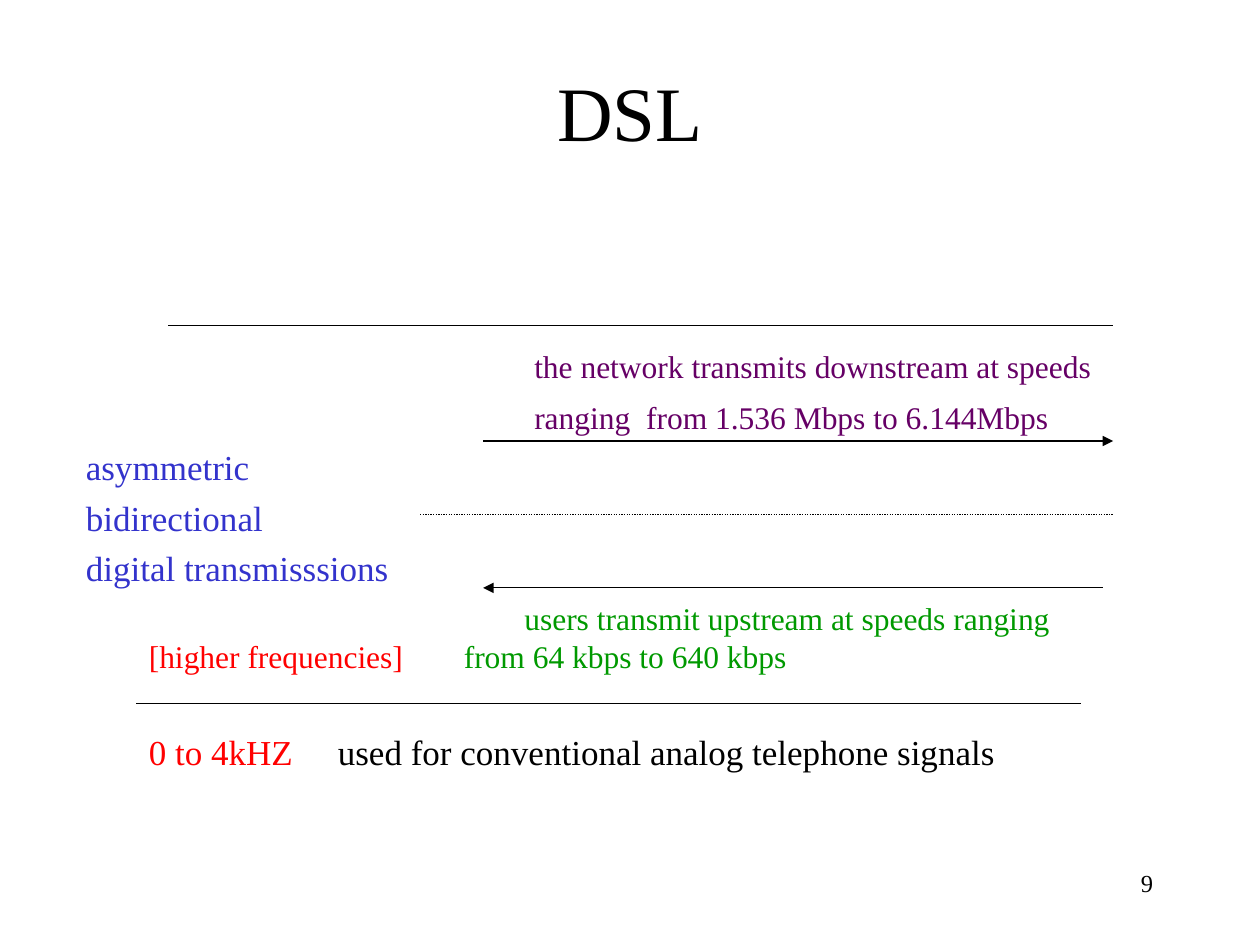
import pptx
import pptx.util
import pptx.dml.color
import pptx.enum.dml
import pptx.enum.shapes
import pptx.enum.text
import pptx.oxml
import pptx.oxml.ns
import lxml.etree

Cm = pptx.util.Cm
Pt = pptx.util.Pt
ALIGN = pptx.enum.text.PP_ALIGN
qn = pptx.oxml.ns.qn


def rgb(value):
    return pptx.dml.color.RGBColor.from_string(value)


def add_run(p, text, size, color):
    r = p.add_run()
    r.text = text
    fmt = {"name": "Times New Roman", "size": Pt(size), "bold": False}
    for key, value in fmt.items():
        setattr(r.font, key, value)
    r.font.color.rgb = rgb(color)


prs = pptx.Presentation()
prs.slide_width, prs.slide_height = Cm(25.4), Cm(19.05)
s = prs.slides.add_slide(prs.slide_layouts[1])

title, body = s.placeholders
number = s.shapes.add_textbox(0, 0, Cm(1), Cm(1))
boxes = [
    (title, (1.9, 0.85, 21.6, 2.75), "MIDDLE", 0.13),
    (body, (1.48, 4.87, 22.02, 12.07), "TOP", 2.12),
    (number, (18.2, 17.36, 5.3, 1.27), "TOP", 0.13),
]
for sp, place, anchor, top in boxes:
    for key, value in zip(("left", "top", "width", "height"), place):
        setattr(sp, key, Cm(value))
    fmt = {
        "word_wrap": True,
        "auto_size": pptx.enum.text.MSO_AUTO_SIZE.NONE,
        "vertical_anchor": getattr(pptx.enum.text.MSO_ANCHOR, anchor),
        "margin_left": Cm(0.25),
        "margin_right": Cm(0.25),
        "margin_top": Cm(top),
        "margin_bottom": Cm(0.13),
    }
    for key, value in fmt.items():
        setattr(sp.text_frame, key, value)

for sp, text, size, align in [(title, "DSL", 44, ALIGN.CENTER), (number, "9", 14, ALIGN.RIGHT)]:
    p = sp.text_frame.paragraphs[0]
    p.alignment = align
    add_run(p, text, size, "000000")

purple, blue, green, red, black = "660066", "3333CC", "009900", "FF0000", "000000"
rows = [
    (18, 0, 9.04, [], [("the network transmits downstream at speeds", purple)]),
    (18, 7.5, 9.04, [], [("ranging  from 1.536 Mbps to 6.144Mbps", purple)]),
    (20, 5.6, 0, [], [("asymmetric", blue)]),
    (20, 5, 0, [], [("bidirectional", blue)]),
    (20, 5, 0, [], [("digital transmisssions", blue)]),
    (18, 6, 8.84, [], [("users transmit upstream at speeds ranging", green)]),
    (18, 0, 0, [1.12, 10.36],
     [("\t[higher frequencies]", red), ("\tfrom 64 kbps to 640 kbps", green)]),
    (20, 32, 0, [1.6, 6.44],
     [("\t0 to 4kHZ", red), ("\tused for conventional analog telephone signals", black)]),
]
tf = body.text_frame
for i, (size, before, indent, stops, runs) in enumerate(rows):
    p = tf.add_paragraph() if i else tf.paragraphs[0]
    pPr = p._p.get_or_add_pPr()
    pPr.set("marL", str(Cm(indent)))
    pPr.set("indent", "0")
    lxml.etree.SubElement(pPr, qn("a:buNone"))
    if stops:
        tabs = lxml.etree.SubElement(pPr, qn("a:tabLst"))
        for stop in stops:
            lxml.etree.SubElement(tabs, qn("a:tab"), pos=str(Cm(stop)), algn="l")
    fmt = {"line_spacing": Pt(size * 1.2), "space_before": Pt(before), "space_after": Pt(0)}
    for key, value in fmt.items():
        setattr(p, key, value)
    for text, color in runs:
        add_run(p, text, size, color)

lines = [
    (2.75, 21.8, 14.18, None),
    (3.39, 22.44, 6.56, None),
    (8.47, 22.44, 10.37, "dots"),
    (9.74, 22.44, 8.89, "arrow"),
    (22.23, 9.74, 11.85, "arrow"),
]
for x1, x2, y, style in lines:
    sp = s.shapes.add_connector(
        pptx.enum.shapes.MSO_CONNECTOR.STRAIGHT, Cm(x1), Cm(y), Cm(x2), Cm(y))
    sp.line.color.rgb = rgb(black)
    sp.line.width = Pt(0.75)
    if style == "dots":
        sp.line.dash_style = pptx.enum.dml.MSO_LINE.ROUND_DOT
    if style == "arrow":
        lxml.etree.SubElement(sp.line._get_or_add_ln(), qn("a:tailEnd"), type="triangle")
    lxml.etree.SubElement(sp._element.spPr, qn("a:effectLst"))

prs.save("out.pptx")
